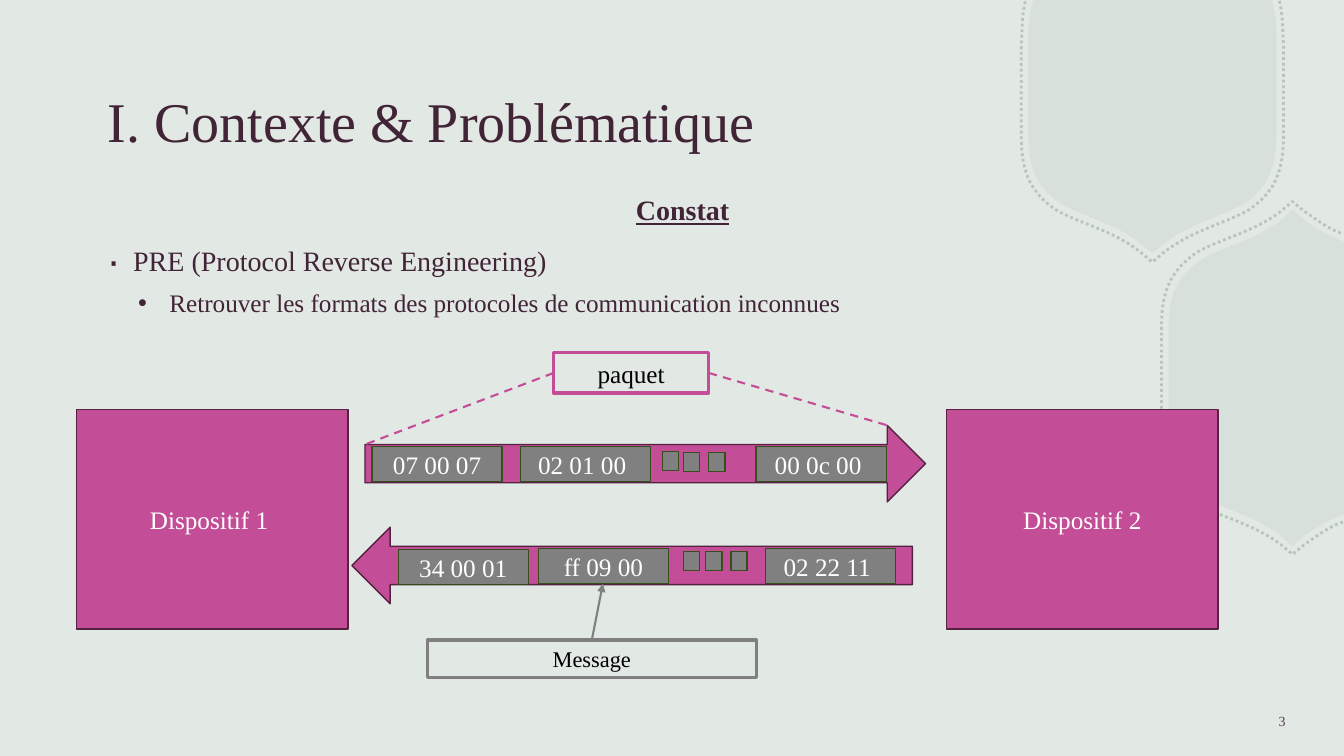
from lxml.etree import SubElement
from pptx import Presentation
from pptx.dml.color import RGBColor
from pptx.enum.dml import MSO_LINE
from pptx.enum.shapes import MSO_CONNECTOR, MSO_SHAPE
from pptx.enum.text import MSO_ANCHOR, MSO_AUTO_SIZE, PP_ALIGN
from pptx.oxml.ns import qn
from pptx.util import Pt

PX = 9144  # EMU per px, 100 px to the inch
WIDTH, HEIGHT = 1333, 750
FONT = "Times New Roman"
COLORS = {
    "background": "E2E8E4", "hexagon": "A2B5A9", "text": "412436",
    "pink": "C34D97", "plum": "552242", "grey": "808080", "green": "364E1A",
    "white": "FFFFFF", "black": "000000",
}

TITLE = ("I. Contexte & Problématique", (97, 61, 993, 116))
BODY_BOX = (97, 183, 1160, 265)
# text, level, size, space before, left margin, indent, bullet, bullet size
BODY = [
    ("Constat", 0, 20, 10, 0, 0, None, 100),
    ("PRE (Protocol Reverse Engineering)", 0, 20, 10, 25, -25, "∙", 150),
    ("Retrouver les formats des protocoles de communication inconnues", 1, 18, 5, 61, -31, "•", 100),
]
PAGE_NUMBER = ("3", (1229, 695, 56, 40))

DEVICES = [("Dispositif 1 ", 76), ("Dispositif 2", 939)]
DEVICE_TOP, DEVICE_SIZE = 406, (269, 218)
ARROW_SIZE, MESSAGE_SIZE, DOT_SIZE = (556, 76), (129, 35), (16, 19)
# arrow shape, arrow corner, messages (text, left, top), dots (left, top)
PACKETS = [
    (MSO_SHAPE.RIGHT_ARROW, (362, 422),
     [("07 00 07", 369, 443), ("02 01 00 ", 516, 443), ("00 0c 00 ", 750, 443)],
     [(657, 448), (678, 449), (703, 449)]),
    (MSO_SHAPE.LEFT_ARROW, (349, 523),
     [("02 22 11 ", 759, 544), ("ff 09 00", 534, 544), ("34 00 01", 395, 545)],
     [(678, 547), (700, 547), (725, 547)]),
]
# text, box, line colour, size
LABELS = [
    ("Message", (424, 635, 326, 37), "grey", 16),
    ("paquet", (549, 350, 154, 40), "pink", 18),
]
# start, end, colour, dashed
LEADERS = [
    ((587, 635), (598, 579), "grey", False),
    ((549, 370), (362, 441), "pink", True),
    ((703, 370), (880, 422), "pink", True),
]

# Half outlines, mirrored about the hexagon's centre; "c" marks a Bezier control point
TOP_CENTER, RIGHT_CENTER = (1143, None), (None, 375)
BODIES = [
    (TOP_CENTER, [
        (1261, 0), (1262, 3), (1265, 12, "c"), (1266, 23, "c"), (1266, 36),
        (1266, 46), (1266, 76), (1266, 93), (1266, 116), (1266, 133),
        (1266, 169, "c"), (1256, 187, "c"), (1234, 202),
        (1211, 215, "c"), (1181, 221, "c"), (1154, 242), (1143, 251)]),
    (RIGHT_CENTER, [
        (1333, 510), (1313, 519), (1307, 523, "c"), (1300, 527, "c"), (1293, 532),
        (1282, 542), (1271, 532), (1244, 511, "c"), (1214, 506, "c"), (1191, 492),
        (1169, 477, "c"), (1159, 459, "c"), (1159, 424), (1159, 406), (1159, 383)]),
]
RIMS = [
    (TOP_CENTER, [
        (1269, 1), (1273, 19, "c"), (1272, 30, "c"), (1273, 44),
        (1273, 76), (1273, 94), (1273, 118), (1273, 136),
        (1273, 173, "c"), (1262, 192, "c"), (1239, 208),
        (1215, 222, "c"), (1183, 228, "c"), (1155, 250), (1143, 260)]),
    (RIGHT_CENTER, [
        (1332, 518), (1318, 522, "c"), (1302, 535, "c"), (1294, 540),
        (1282, 550), (1270, 540), (1242, 519, "c"), (1210, 513, "c"), (1186, 499),
        (1163, 482, "c"), (1152, 464, "c"), (1152, 426), (1152, 408), (1152, 384)]),
]


def rgb(name):
    return RGBColor.from_string(COLORS[name])


def emu(lengths):
    return [round(length * PX) for length in lengths]


def set_font(para, size, color):
    para.font.name, para.font.size = FONT, Pt(size)
    para.font.color.rgb = rgb(color)


def set_line(item, color, width):
    item.line.color.rgb = rgb(color)
    item.line.width = Pt(width)


def set_opacity(shape, percent):
    for color in shape._element.iter(qn("a:srgbClr")):
        SubElement(color, qn("a:alpha"), val=str(percent * 1000))


def write(shape, text, size, color, align):
    frame = shape.text_frame
    frame.word_wrap = True
    frame.vertical_anchor = MSO_ANCHOR.MIDDLE
    para = frame.paragraphs[0]
    para.text, para.alignment = text, align
    set_font(para, size, color)


def add_block(page, kind, box, fill, line, width=1, text=None, size=18, color="white"):
    shape = page.shapes.add_shape(kind, *emu(box))
    shape.shadow.inherit = False
    if fill:
        shape.fill.solid()
        shape.fill.fore_color.rgb = rgb(fill)
    else:
        shape.fill.background()
    set_line(shape, line, width)
    if text:
        write(shape, text, size, color, PP_ALIGN.CENTER)


def add_leader(page, start, end, color, dashed):
    leader = page.shapes.add_connector(MSO_CONNECTOR.STRAIGHT, *emu(start + end))
    set_line(leader, color, 1.5)
    if dashed:
        leader.line.dash_style = MSO_LINE.DASH
    else:
        SubElement(leader.line._get_or_add_ln(), qn("a:tailEnd"), type="triangle")
    SubElement(leader._element.spPr, qn("a:effectLst"))


def mirror(node, center):
    x, y, *mark = node
    center_x, center_y = center
    if center_x:
        return (2 * center_x - x, y, *mark)
    return (x, 2 * center_y - y, *mark)


def add_outline(page, center, half, close):
    """Freeform through half and its mirror, with control points joined into curves."""
    other = [mirror(node, center) for node in reversed(half)]
    nodes = half + [node for node in other if node not in half]
    points = [emu(node[:2]) for node in nodes]
    builder = page.shapes.build_freeform(*points[0], scale=1.0)
    builder.add_line_segments(points[1:], close=close)
    shape = builder.convert_to_shape()
    shape.shadow.inherit = False

    steps = list(shape._element.iter(qn("a:lnTo")))
    controls = [i for i, node in enumerate(nodes[1:]) if len(node) == 3]
    for first in controls[::2]:
        curve = SubElement(steps[first].getparent(), qn("a:cubicBezTo"))
        steps[first].addprevious(curve)
        for step in steps[first:first + 3]:
            curve.append(step[0])
            step.getparent().remove(step)
    return shape


def add_hexagons(page):
    for center, half in BODIES:
        body = add_outline(page, center, half, True)
        body.fill.solid()
        body.fill.fore_color.rgb = rgb("hexagon")
        body.line.fill.background()
        set_opacity(body, 15)
    for center, half in RIMS:
        rim = add_outline(page, center, half, False)
        rim.fill.background()
        set_line(rim, "hexagon", 2)
        rim.line.dash_style = MSO_LINE.ROUND_DOT
        set_opacity(rim, 65)


def place(shape, box):
    shape.left, shape.top, shape.width, shape.height = emu(box)
    shape._element.getparent().append(shape._element)  # in front of the hexagons


def fill_body(body):
    place(body, BODY_BOX)
    frame = body.text_frame
    frame.auto_size = MSO_AUTO_SIZE.NONE
    for index, (text, level, size, before, margin, indent, bullet, percent) in enumerate(BODY):
        para = frame.add_paragraph() if index else frame.paragraphs[0]
        para.text, para.level = text, level
        para.line_spacing, para.space_before = 1.1, Pt(before)
        properties = para._p.get_or_add_pPr()
        properties.set("marL", str(margin * PX))
        properties.set("indent", str(indent * PX))
        if bullet:
            SubElement(properties, qn("a:buSzPct"), val=str(percent * 1000))
            SubElement(properties, qn("a:buChar"), char=bullet)
        else:
            SubElement(properties, qn("a:buNone"))
            para.alignment = PP_ALIGN.CENTER
            para.font.bold = para.font.underline = True
        set_font(para, size, "text")


def main():
    deck = Presentation()
    deck.slide_width, deck.slide_height = emu((WIDTH, HEIGHT))
    page = deck.slides.add_slide(deck.slide_layouts[1])
    page.background.fill.solid()
    page.background.fill.fore_color.rgb = rgb("background")
    title_holder, body_holder = page.placeholders
    add_hexagons(page)

    title, box = TITLE
    place(title_holder, box)
    write(title_holder, title, 40, "text", PP_ALIGN.LEFT)
    fill_body(body_holder)
    number, box = PAGE_NUMBER
    number_box = page.shapes.add_textbox(*emu(box))
    write(number_box, number, 10, "text", PP_ALIGN.RIGHT)
    set_opacity(number_box, 85)

    rectangle = MSO_SHAPE.RECTANGLE
    for name, left in DEVICES:
        add_block(page, rectangle, (left, DEVICE_TOP, *DEVICE_SIZE), "pink", "plum", text=name)
    for arrow, corner, messages, dots in PACKETS:
        add_block(page, arrow, corner + ARROW_SIZE, "pink", "plum")
        for text, left, top in messages:
            add_block(page, rectangle, (left, top, *MESSAGE_SIZE), "grey", "green", text=text)
        for dot in dots:
            add_block(page, rectangle, dot + DOT_SIZE, "grey", "green")
    for text, box, line, size in LABELS:
        add_block(page, rectangle, box, None, line, 2.25, text, size, "black")
    for leader in LEADERS:
        add_leader(page, *leader)
    deck.save("out.pptx")


if __name__ == "__main__":
    main()
